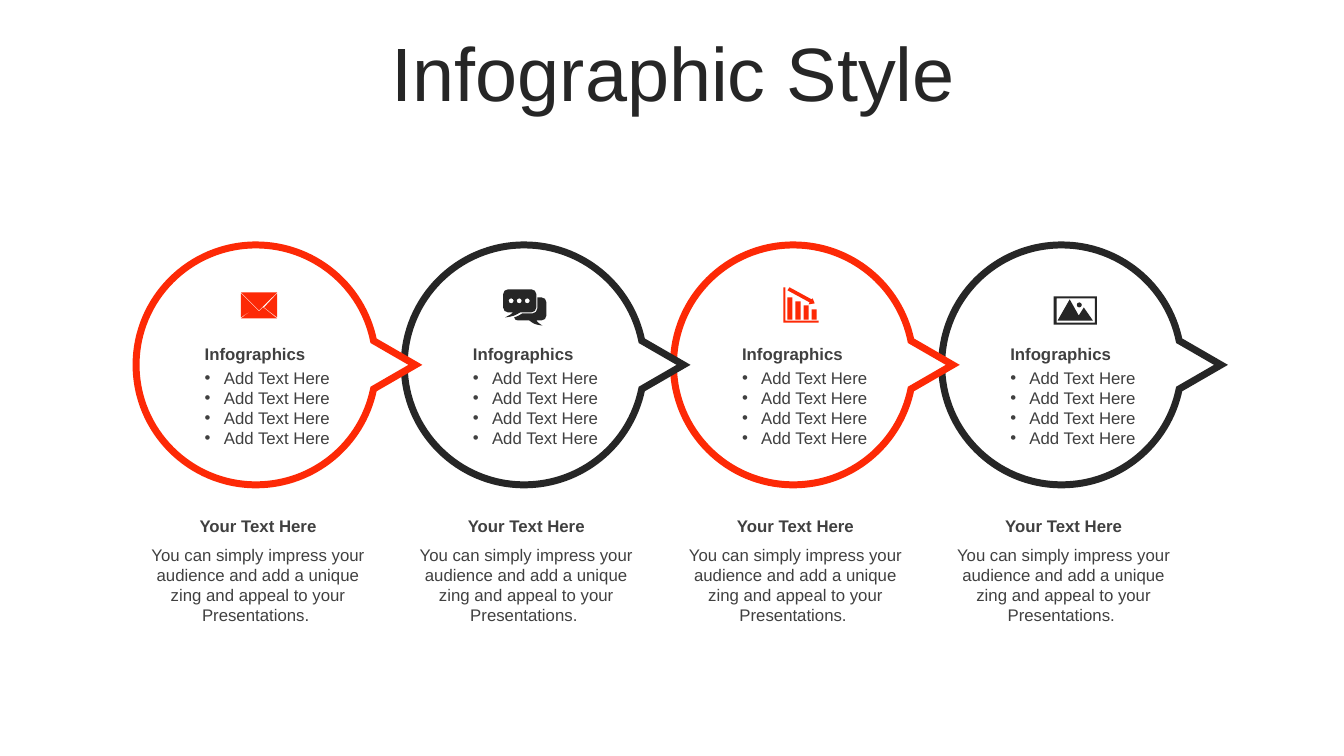
from dataclasses import dataclass
from itertools import pairwise
from math import cos, radians, sin, tan

from lxml.etree import SubElement
from pptx import Presentation
from pptx.dml.color import RGBColor as RGB
from pptx.enum.text import MSO_ANCHOR as ANCHOR, MSO_AUTO_SIZE as FIT, PP_ALIGN as ALIGN
from pptx.oxml.ns import qn
from pptx.util import Emu, Pt

PX = 9144  # EMU per px, 100 px to the inch


@dataclass(frozen=True)
class Theme:
    font: str = "Arial"
    red: RGB = RGB.from_string("FD2906")
    dark: RGB = RGB.from_string("262626")
    text: RGB = RGB.from_string("404040")
    white: RGB = RGB.from_string("FFFFFF")
    title_size: int = 54
    body_size: int = 12
    ring_width: int = 5


def px(n):
    return Emu(round(n * PX))


# Outline helpers: a contour is a list of (x, y) corners and
# (x1, y1, x2, y2, x, y) Bézier curves, in px
def arc(cx, cy, radius, *angles):
    def at(a, pull=0):
        return (cx + radius * (cos(a) - pull * sin(a)),
                cy + radius * (sin(a) + pull * cos(a)))

    angles = [radians(a) for a in angles]
    steps = [at(angles[0])]
    for a, b in pairwise(angles):
        pull = 4 / 3 * tan((b - a) / 4)
        steps.append(at(a, pull) + at(b, -pull) + at(b))
    return steps


def dot(cx, cy, radius):
    return arc(cx, cy, radius, 0, 90, 180, 270, 360)


def box(left, top, right, bottom):
    return [(left, top), (right, top), (right, bottom), (left, bottom)]


def bend_curves(outline, contours):
    """Join the three lines that stand for each curve into one Bézier."""
    lines = iter(outline.findall(qn("a:lnTo")))
    for contour in contours:
        for step in contour[1:]:
            parts = [next(lines) for _ in range(len(step) // 2)]
            if len(parts) == 3:
                curve = SubElement(outline, qn("a:cubicBezTo"))
                parts[0].addprevious(curve)
                for part in parts:
                    curve.append(part[0])
                    outline.remove(part)


def format_text(p, text, *, size, color, font, bold=False, align=ALIGN.LEFT, bullet=None):
    p.alignment = align
    if bullet:
        pPr = p._p.get_or_add_pPr()
        pPr.set("marL", str(px(19)))
        pPr.set("indent", str(px(-19)))
        SubElement(pPr, qn("a:buFont")).set("typeface", font)
        SubElement(pPr, qn("a:buChar")).set("char", bullet)
    r = p.add_run()
    r.text = text
    r.font.name, r.font.size, r.font.bold = font, Pt(size), bold
    r.font.color.rgb = color


class SlideBuilder:
    def __init__(self, slide, theme):
        self.slide, self.theme = slide, theme

    def title(self, text, left, top, width, height):
        sp, th = self.slide.shapes.title, self.theme
        sp.left, sp.top, sp.width, sp.height = map(px, (left, top, width, height))
        tf = sp.text_frame
        tf.auto_size = FIT.NONE
        tf.vertical_anchor = ANCHOR.MIDDLE
        p = tf.paragraphs[0]
        p.line_spacing = 0.9
        format_text(p, text, size=th.title_size, color=th.dark, font=th.font, align=ALIGN.CENTER)

    def text(self, lines, left, top, width, height, *, inset=10, anchor=ANCHOR.TOP, **style):
        sp = self.slide.shapes.add_textbox(*map(px, (left, top, width, height)))
        tf, th = sp.text_frame, self.theme
        tf.word_wrap = True
        tf.auto_size = FIT.SHAPE_TO_FIT_TEXT
        tf.vertical_anchor = anchor
        tf.margin_left = px(inset)
        for i, line in enumerate(lines):
            p = tf.add_paragraph() if i else tf.paragraphs[0]
            format_text(p, line, size=th.body_size, color=th.text, font=th.font, **style)

    def outline(self, contours, left, top, fill, line=None):
        points = [[(px(left + step[i]), px(top + step[i + 1]))
                   for step in contour for i in range(0, len(step), 2)]
                  for contour in contours]
        builder = self.slide.shapes.build_freeform(*points[0][0], scale=1.0)
        for i, contour in enumerate(points):
            if i:
                builder.move_to(*contour[0])
            builder.add_line_segments(contour[1:], close=True)
        sp = builder.convert_to_shape()
        bend_curves(sp._element.spPr.find(".//" + qn("a:path")), contours)
        sp.shadow.inherit = False
        sp.fill.solid()
        sp.fill.fore_color.rgb = fill
        if line is None:
            sp.line.fill.background()
        else:
            sp.line.color.rgb = line
            sp.line.width = Pt(self.theme.ring_width)
            ln = sp.line._get_or_add_ln()
            SubElement(ln, qn("a:miter")).set("lim", "800000")


# Icon outlines, measured from each icon's top left corner
ENVELOPE = [
    [(22, 15), (36, 26), (0, 26), (14, 15), (18, 19)],
    [(36, 1), (36, 25), (23, 15)],
    [(0, 1), (14, 15), (0, 25)],
    [(0, 0), (36, 0), (18, 18)],
]
CHAT = [dot(x, 11.5, 2.5) for x in (24, 16, 8)] + [
    # back bubble
    [(34, 8), *arc(38, 13, 5, -90, 0), *arc(38, 26, 5, 0, 90),
     (33, 31), (34, 32, 34, 33, 39, 36), (31, 35, 30, 34, 26, 31),
     (15, 31), (13, 31, 11, 30, 11, 28), (14, 27, 16, 26, 19, 24),
     *arc(29, 19, 5, 90, 0)],
    # front bubble
    [*arc(5, 5, 5, 180, 270), *arc(28, 5, 5, 270, 360), *arc(28, 18, 5, 0, 90),
     (17, 23), (12, 26, 10, 27, 2, 28), (7, 25, 7, 26, 10, 23),
     *arc(5, 18, 5, 90, 180)],
]
FALLING_CHART = [box(4 + 8 * i, 10 + 4 * i, 9 + 8 * i, 32) for i in range(4)] + [
    [(6, 0), (28, 12), (29, 11), (31, 16), (25, 17), (26, 15), (4, 3)],
    [(0, 0), (2, 0), (2, 33), (35, 33), (35, 35), (0, 35)],
]
PHOTO = [
    dot(25.5, 8.5, 2.5),
    [(16, 3), (25, 19), (30, 11), (39, 24), (4, 24)],
    box(3, 2, 41, 26),
    box(0, 0, 43, 28),
]

# Ring with its pointer, measured from the ring's centre
RING = [[(158, 0), *arc(0, 0, 119, 11.6, 90, 180, 270, 348.4)]]
FIRST_X, RING_Y = 254, 362

HEADING = "Infographics"
ITEMS = ["Add Text Here"] * 4
CAPTION = "Your Text Here"
DETAIL = ("You can simply impress your audience and add a unique "
          "zing and appeal to your Presentations. ")


def main():
    prs = Presentation()
    prs.slide_width, prs.slide_height = px(1333), px(750)
    th = Theme()
    page = SlideBuilder(prs.slides.add_slide(prs.slide_layouts[5]), th)
    page.title("Infographic Style", 35, 37, 1266, 79)

    # Steps: colour, icon, icon offset from the ring's centre
    steps = [
        (th.red, ENVELOPE, -15, -72),
        (th.dark, CHAT, -21, -75),
        (th.red, FALLING_CHART, -10, -77),
        (th.dark, PHOTO, -8, -68),
    ]
    # Drawn from right to left, so each pointer overlaps the next ring
    for i, (color, icon, dx, dy) in reversed(list(enumerate(steps))):
        x = FIRST_X + 533 * i // 2
        page.outline(RING, x, RING_Y, th.white, line=color)
        page.outline(icon, x + dx, RING_Y + dy, color)
        # Heading and list inside the ring
        inside = dict(inset=20, anchor=ANCHOR.MIDDLE)
        page.text([HEADING], x - 71, 336, 169, 30, bold=True, **inside)
        page.text(ITEMS, x - 71, 359, 169, 91, bullet="•", **inside)
        # Caption below the ring
        page.text([CAPTION], x - 118, 507, 240, 30, bold=True, align=ALIGN.CENTER)
        page.text([DETAIL], x - 118, 535, 240, 91, align=ALIGN.CENTER)

    prs.save("out.pptx")


if __name__ == "__main__":
    main()
